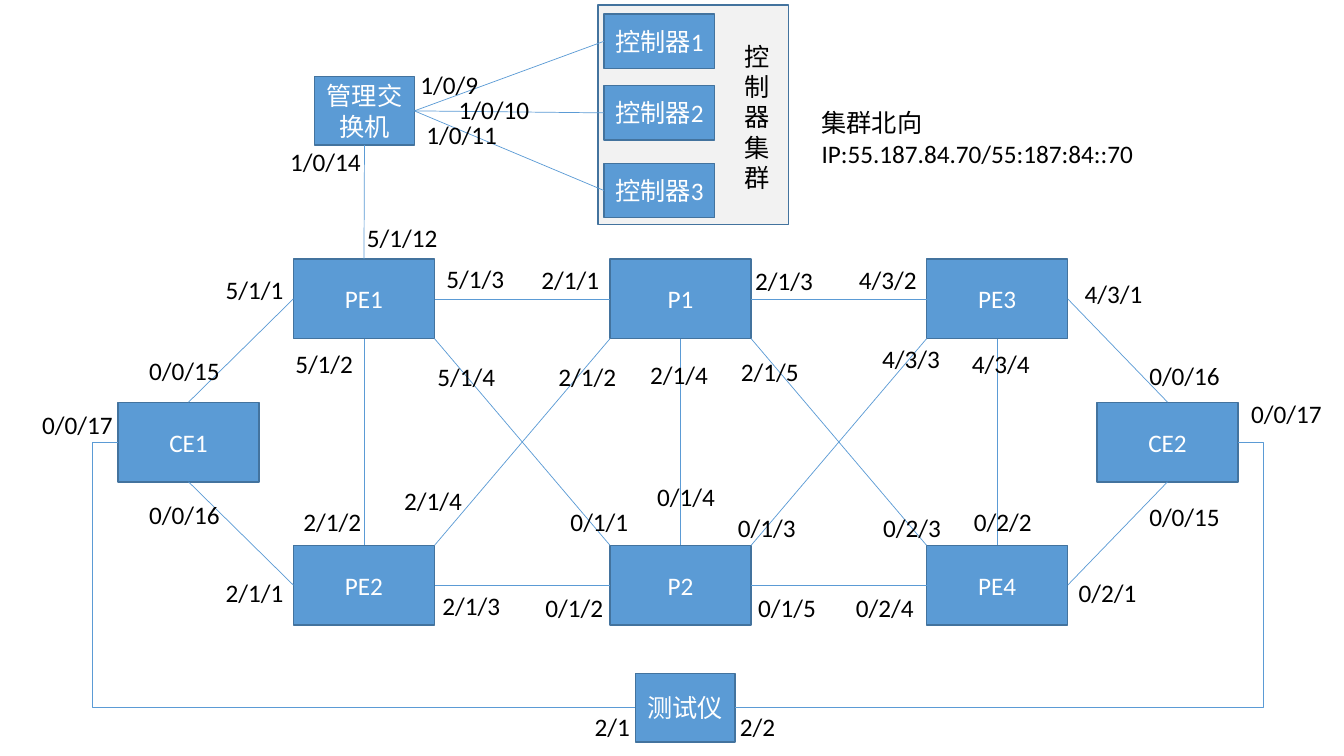
from lxml import etree
from pptx import Presentation
from pptx.dml.color import RGBColor
from pptx.enum.shapes import MSO_CONNECTOR as LINE, MSO_SHAPE
from pptx.enum.text import MSO_ANCHOR, PP_ALIGN
from pptx.oxml.ns import qn
from pptx.util import Inches, Pt

BLUE = RGBColor(0x5B, 0x9B, 0xD5)
EDGE = RGBColor(0x43, 0x73, 0x9E)
PALE = RGBColor(0xF2, 0xF2, 0xF2)
WHITE = RGBColor(0xFF, 0xFF, 0xFF)
BLACK = RGBColor(0x00, 0x00, 0x00)
TOP, LEFT, BOTTOM, RIGHT = range(4)

prs = Presentation()
prs.slide_width, prs.slide_height = Inches(13.33), Inches(7.5)
s = prs.slides.add_slide(prs.slide_layouts[6])


def write(sp, text, color):
    tf = sp.text_frame
    tf.word_wrap = True
    p = tf.paragraphs[0]
    for i, line in enumerate(text.split("\n")):
        if i:
            p.add_line_break()
        r = p.add_run()
        r.text = line
        r.font.name, r.font.size = "Calibri", Pt(18)
        r.font.color.rgb = color
    return tf


def link(x1, y1, x2, y2, kind=LINE.STRAIGHT):
    c = s.shapes.add_connector(kind, x1, y1, x2, y2)
    c.line.color.rgb, c.line.width = BLUE, Pt(0.5)
    etree.SubElement(c._element.spPr, qn("a:effectLst"))
    return c


# Columns and rows of the router grid
COL_X = [2.91 + 3.14 * i for i in range(3)]
UPPER, MIDDLE, LOWER = [2.57 + 1.42 * i for i in range(3)]
ROUTER = (1.4, 0.79)
CONTROLLER = (1.1, 0.54)
DEVICE = (0.99, 0.68)

boxes = [("", 5.93, 0.05, (1.89, 2.18)),
         ("CE1", 1.17, MIDDLE, ROUTER), ("CE2", 10.88, MIDDLE, ROUTER),
         ("管理交换机", 3.12, 0.76, DEVICE), ("测试仪", 6.3, 6.68, DEVICE)]
for x, upper, lower in zip(COL_X, ("PE1", "P1", "PE3"), ("PE2", "P2", "PE4")):
    boxes += [(upper, x, UPPER, ROUTER), (lower, x, LOWER, ROUTER)]
for i, y in enumerate((0.14, 0.85, 1.62), 1):
    boxes.append((f"控制器{i}", 5.99, y, CONTROLLER))

node = {}
for name, x, y, (w, h) in boxes:
    sp = s.shapes.add_shape(MSO_SHAPE.RECTANGLE, Inches(x), Inches(y), Inches(w), Inches(h))
    sp.shadow.inherit = False
    sp.fill.solid()
    sp.fill.fore_color.rgb = BLUE if name else PALE
    sp.line.color.rgb, sp.line.width = EDGE, Pt(1)
    if name:
        tf = write(sp, name, WHITE)
        tf.vertical_anchor = MSO_ANCHOR.MIDDLE
        tf.paragraphs[0].alignment = PP_ALIGN.CENTER
        node[name] = sp

# Links between the middles of two sides
for a, side_a, b, side_b in [
    ("CE1", TOP, "PE1", LEFT), ("CE1", BOTTOM, "PE2", LEFT),
    ("PE3", RIGHT, "CE2", TOP), ("CE2", BOTTOM, "PE4", RIGHT),
    ("PE1", BOTTOM, "PE2", TOP), ("P1", BOTTOM, "P2", TOP), ("PE3", BOTTOM, "PE4", TOP),
    ("PE1", RIGHT, "P1", LEFT), ("P1", RIGHT, "PE3", LEFT),
    ("P2", LEFT, "PE2", RIGHT), ("P2", RIGHT, "PE4", LEFT),
    ("PE1", TOP, "管理交换机", BOTTOM),
    ("管理交换机", RIGHT, "控制器1", LEFT),
    ("管理交换机", RIGHT, "控制器2", LEFT),
    ("管理交换机", RIGHT, "控制器3", LEFT),
]:
    c = link(0, 0, 0, 0)
    c.begin_connect(node[a], side_a)
    c.end_connect(node[b], side_b)

# Crossed links from corner to corner
for a, b in [("PE1", "P2"), ("PE2", "P1"), ("P1", "PE4"), ("P2", "PE3")]:
    m, n = node[a], node[b]
    down = m.top < n.top
    link(m.left + m.width, m.top + m.height if down else m.top,
         n.left, n.top if down else n.top + n.height)

# Links that run round the outside to the tester
tester = node["测试仪"]
OUTSET = Inches(0.25)
for ce, x1, x2 in [(node["CE1"], node["CE1"].left, tester.left),
                   (node["CE2"], node["CE2"].left + node["CE2"].width,
                    tester.left + tester.width)]:
    c = link(x1, ce.top + ce.height // 2, x2, tester.top + tester.height // 2, LINE.ELBOW)
    guides = c._element.spPr.find(qn("a:prstGeom")).get_or_add_avLst()
    bend = -round(100000 * OUTSET / abs(x2 - x1))
    etree.SubElement(guides, qn("a:gd"), name="adj1", fmla=f"val {bend}")

# Port labels
ports = [
    ("1/0/9", 4.07, 0.64), ("1/0/10", 4.45, 0.89), ("1/0/11", 4.13, 1.13),
    ("1/0/14", 2.78, 1.4), ("5/1/12", 3.54, 2.16),
    ("5/1/1", 2.14, 2.67), ("5/1/2", 2.83, 3.41), ("5/1/3", 4.33, 2.56), ("5/1/4", 4.24, 3.54),
    ("2/1/1", 5.27, 2.57), ("2/1/2", 5.44, 3.54), ("2/1/3", 7.39, 2.58),
    ("2/1/4", 6.35, 3.52), ("2/1/5", 7.25, 3.49),
    ("4/3/1", 10.66, 2.71), ("4/3/2", 8.42, 2.57), ("4/3/3", 8.65, 3.36), ("4/3/4", 9.54, 3.41),
    ("0/0/15", 1.38, 3.48), ("0/0/16", 1.38, 4.9), ("0/0/17", 0.32, 4.01),
    ("0/0/15", 11.3, 4.92), ("0/0/16", 11.3, 3.53), ("0/0/17", 12.31, 3.9),
    ("2/1/1", 2.14, 5.68), ("2/1/2", 2.91, 4.97), ("2/1/3", 4.29, 5.81), ("2/1/4", 3.91, 4.77),
    ("0/1/1", 5.56, 4.97), ("0/1/2", 5.31, 5.83), ("0/1/3", 7.22, 5.03),
    ("0/1/4", 6.42, 4.73), ("0/1/5", 7.42, 5.83),
    ("0/2/1", 10.6, 5.68), ("0/2/2", 9.56, 4.97), ("0/2/3", 8.66, 5.03), ("0/2/4", 8.39, 5.83),
    ("2/1", 5.8, 7.01), ("2/2", 7.24, 7.01),
]
labels = [(text, x, y, 0.99, 0.4) for text, x, y in ports]
labels += [("控制器集群", 7.29, 0.36, 0.37, 1.62),
           ("集群北向\nIP:55.187.84.70/55:187:84::70", 8.05, 1.02, 4.34, 0.4)]
for text, *place in labels:
    write(s.shapes.add_textbox(*map(Inches, place)), text, BLACK)

prs.save("out.pptx")
